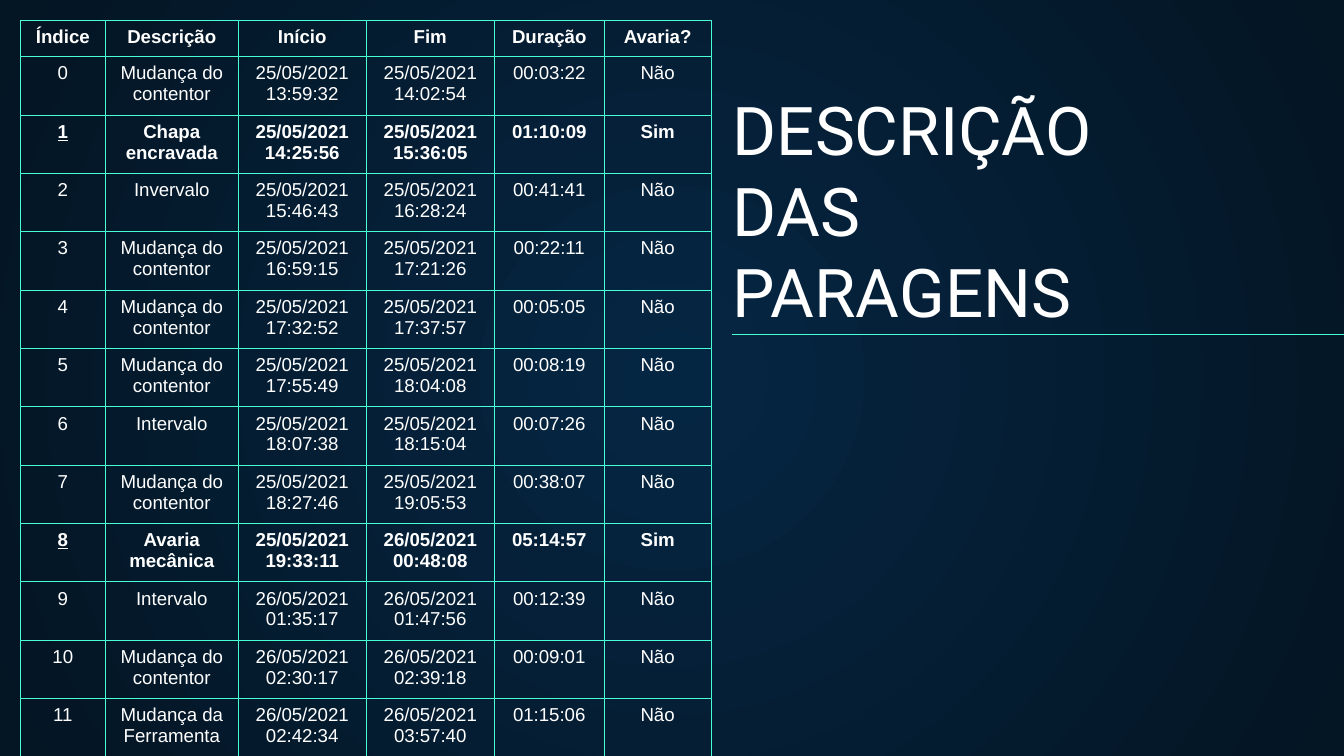
from dataclasses import dataclass

from lxml.etree import SubElement
from pptx import Presentation
from pptx.dml.color import RGBColor
from pptx.enum.shapes import MSO_CONNECTOR
from pptx.enum.text import MSO_ANCHOR, PP_ALIGN
from pptx.oxml.ns import qn
from pptx.util import Pt


@dataclass(frozen=True)
class Theme:
    glow: str = "052643"
    night: str = "041523"
    accent: str = "48FFD5"
    text: str = "FFFFFF"
    title_font: str = "Roboto"
    table_font: str = "Arial"
    title_size: float = 36
    table_size: float = 10
    rule_width: float = 0.75
    border_width: float = 0.06


class SlideBuilder:
    def __init__(self, slide, theme):
        self.slide = slide
        self.theme = theme

    def background(self):
        fill = self.slide.background.fill
        fill.gradient()
        shades = (self.theme.glow, self.theme.night)
        for stop, shade, position in zip(fill.gradient_stops, shades, (0, 1)):
            stop.color.rgb = RGBColor.from_string(shade)
            stop.position = position
        gradient = self.slide._element.find(".//" + qn("a:gradFill"))
        gradient.remove(gradient.find(qn("a:lin")))
        radial = SubElement(gradient, qn("a:path"), path="circle")
        SubElement(radial, qn("a:fillToRect"), l="50000", t="50000", r="50000", b="50000")

    def run(self, paragraph, text, font, size, bold=False, underline=False):
        run = paragraph.add_run()
        run.text = text
        run.font.name = font
        run.font.size = Pt(size)
        run.font.bold = bold
        run.font.underline = underline
        run.font.color.rgb = RGBColor.from_string(self.theme.text)

    def paragraphs(self, frame, lines, align, **style):
        for number, line in enumerate(lines):
            paragraph = frame.add_paragraph() if number else frame.paragraphs[0]
            paragraph.alignment = align
            self.run(paragraph, line, **style)

    def title(self, lines, left, top, width, height):
        frame = self.slide.shapes.add_textbox(Pt(left), Pt(top), Pt(width), Pt(height)).text_frame
        frame.word_wrap = True
        frame.vertical_anchor = MSO_ANCHOR.BOTTOM
        frame.margin_left = frame.margin_right = Pt(7.2)
        frame.margin_top = frame.margin_bottom = Pt(7.2)
        self.paragraphs(frame, lines, PP_ALIGN.LEFT,
                        font=self.theme.title_font, size=self.theme.title_size)

    def rule(self, left, right, y):
        rule = self.slide.shapes.add_connector(
            MSO_CONNECTOR.STRAIGHT, Pt(left), Pt(y), Pt(right), Pt(y))
        rule.line.color.rgb = RGBColor.from_string(self.theme.accent)
        rule.line.width = Pt(self.theme.rule_width)
        SubElement(rule._element.spPr, qn("a:effectLst"))

    def borders(self, cell):
        properties = cell._tc.get_or_add_tcPr()
        for side in ("a:lnL", "a:lnR", "a:lnT", "a:lnB"):
            line = SubElement(properties, qn(side), w=str(Pt(self.theme.border_width)))
            solid = SubElement(line, qn("a:solidFill"))
            SubElement(solid, qn("a:srgbClr"), val=self.theme.accent)

    def cell(self, cell, text, bold, underline):
        self.borders(cell)
        cell.fill.background()
        cell.margin_left = cell.margin_right = Pt(7.2)
        cell.margin_top = cell.margin_bottom = Pt(3.6)
        self.paragraphs(cell.text_frame, text.split("\n"), PP_ALIGN.CENTER,
                        font=self.theme.table_font, size=self.theme.table_size,
                        bold=bold, underline=underline)

    def table(self, rows, left, top, widths, header_height, row_height):
        heights = [header_height] + [row_height] * (len(rows) - 1)
        table = self.slide.shapes.add_table(
            len(rows), len(widths), Pt(left), Pt(top), Pt(sum(widths)), Pt(sum(heights))).table
        table.horz_banding = False
        for column, width in zip(table.columns, widths):
            column.width = Pt(width)
        for number, (values, height) in enumerate(zip(rows, heights)):
            table.rows[number].height = Pt(height)
            fault = values[-1] == "Sim"
            for position, value in enumerate(values):
                self.cell(table.cell(number, position), value,
                          bold=fault or number == 0,
                          underline=fault and position == 0)


HEADER = ("Índice", "Descrição", "Início", "Fim", "Duração", "Avaria?")
CHANGEOVER = "Mudança do contentor"
STOPS = [
    (CHANGEOVER, "25/05/2021\n13:59:32", "25/05/2021\n14:02:54", "00:03:22", "Não"),
    ("Chapa encravada", "25/05/2021\n14:25:56", "25/05/2021\n15:36:05", "01:10:09", "Sim"),
    ("Invervalo", "25/05/2021\n15:46:43", "25/05/2021\n16:28:24", "00:41:41", "Não"),
    (CHANGEOVER, "25/05/2021\n16:59:15", "25/05/2021\n17:21:26", "00:22:11", "Não"),
    (CHANGEOVER, "25/05/2021\n17:32:52", "25/05/2021\n17:37:57", "00:05:05", "Não"),
    (CHANGEOVER, "25/05/2021\n17:55:49", "25/05/2021\n18:04:08", "00:08:19", "Não"),
    ("Intervalo", "25/05/2021\n18:07:38", "25/05/2021\n18:15:04", "00:07:26", "Não"),
    (CHANGEOVER, "25/05/2021\n18:27:46", "25/05/2021\n19:05:53", "00:38:07", "Não"),
    ("Avaria mecânica", "25/05/2021\n19:33:11", "26/05/2021\n00:48:08", "05:14:57", "Sim"),
    ("Intervalo", "26/05/2021\n01:35:17", "26/05/2021\n01:47:56", "00:12:39", "Não"),
    (CHANGEOVER, "26/05/2021\n02:30:17", "26/05/2021\n02:39:18", "00:09:01", "Não"),
    ("Mudança da Ferramenta", "26/05/2021\n02:42:34", "26/05/2021\n03:57:40", "01:15:06", "Não"),
]


def main():
    presentation = Presentation()
    presentation.slide_width = Pt(720)
    presentation.slide_height = Pt(405)
    slide = presentation.slides.add_slide(presentation.slide_layouts[6])
    builder = SlideBuilder(slide, Theme())
    builder.background()
    builder.title(("DESCRIÇÃO", "DAS", "PARAGENS"), 385.5, 136.8, 298.8, 47.5)
    builder.rule(392.2, 742.3, 179.1)
    rows = [HEADER] + [(str(index), *stop) for index, stop in enumerate(STOPS)]
    builder.table(rows, 10.9, 10.9, (45.5, 71.2, 68.6, 68.6, 58.9, 57.3), 18.4, 29.8)
    presentation.save("out.pptx")


if __name__ == "__main__":
    main()
